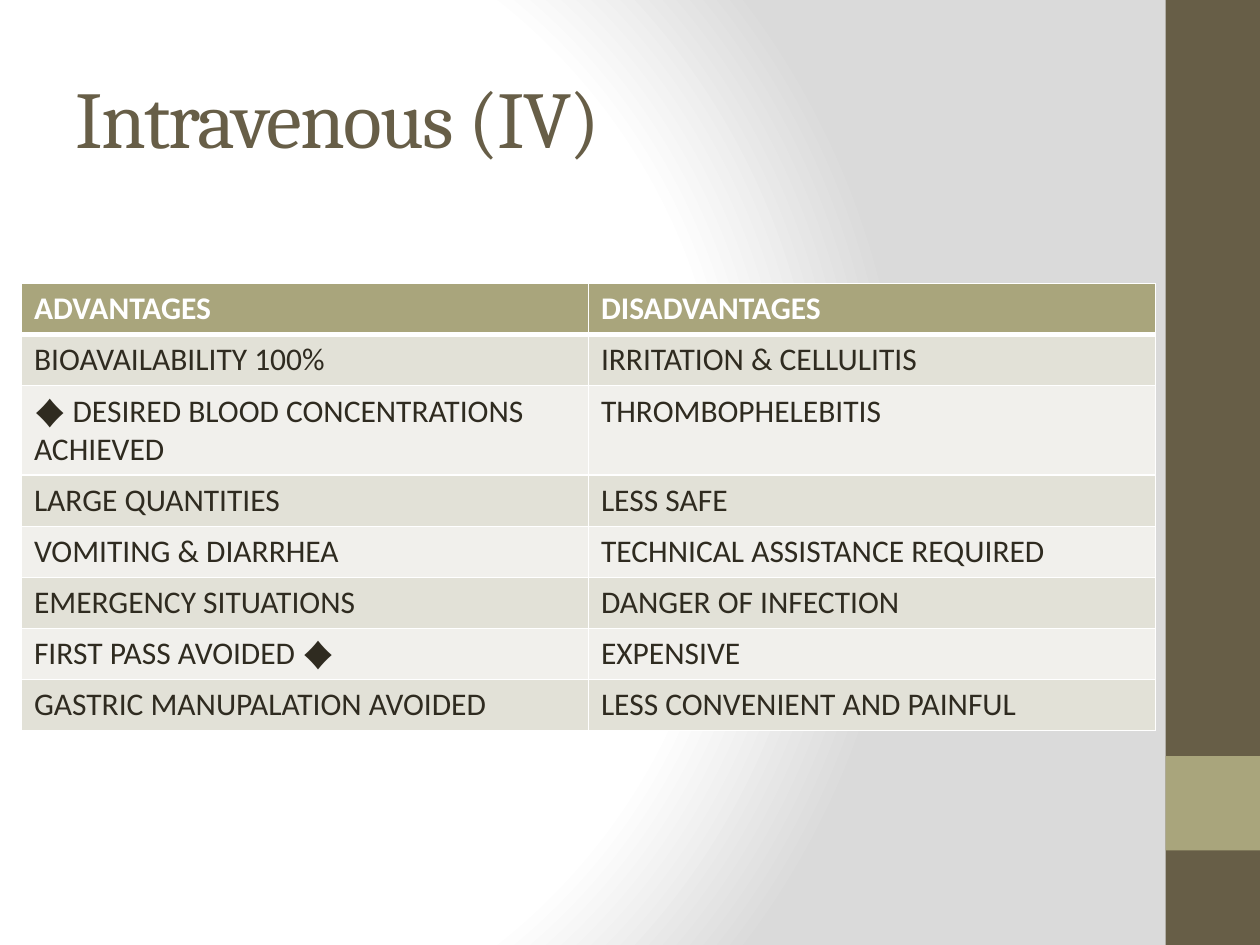
from dataclasses import dataclass

from lxml import etree
from pptx import Presentation
from pptx import util as u
from pptx.dml.color import RGBColor
from pptx.enum import shapes, text
from pptx.oxml import ns, parse_xml

TITLE = "Intravenous (IV)"
ROWS = [
    ("ADVANTAGES", "DISADVANTAGES"),
    ("BIOAVAILABILITY 100%", "IRRITATION & CELLULITIS"),
    ("♦ DESIRED BLOOD CONCENTRATIONS ACHIEVED", "THROMBOPHELEBITIS"),
    ("LARGE QUANTITIES", "LESS SAFE"),
    ("VOMITING & DIARRHEA", "TECHNICAL ASSISTANCE REQUIRED"),
    ("EMERGENCY SITUATIONS", "DANGER OF INFECTION"),
    ("FIRST PASS AVOIDED ♦", "EXPENSIVE"),
    ("GASTRIC MANUPALATION AVOIDED", "LESS CONVENIENT AND PAINFUL"),
]


@dataclass(frozen=True)
class Theme:
    brown: str = "675E47"
    olive: str = "A9A57C"
    ink: str = "2F2B20"
    white: str = "FFFFFF"
    shade: str = "DADADA"
    bands: tuple = ("F1F0EC", "E2E1D7")
    title_font: str = "Cambria"
    body_font: str = "Calibri"
    title_size: float = 46
    body_size: float = 18


THEME = Theme()
WIDTH, HEIGHT = 720, 540
SIDEBAR_WIDTH = 54
SIDEBAR_LEFT = WIDTH - SIDEBAR_WIDTH
ACCENT_TOP = 432
TITLE_BOX = (36, 21.6, 600, 90)
TABLE_LEFT, TABLE_TOP = 12.24, 162
COLUMN_WIDTH, ROW_HEIGHT = 324, 29.2


def points(*lengths):
    return [u.Pt(length) for length in lengths]


def paint_background(page):
    stops = [(0, THEME.white), (75, THEME.white), (100, THEME.shade)]
    stop_xml = "".join(
        f'<a:gs pos="{position * 1000}"><a:srgbClr val="{color}"/></a:gs>'
        for position, color in stops
    )
    background = parse_xml(
        f'<p:bg {ns.nsdecls("p", "a")}><p:bgPr><a:gradFill rotWithShape="1">'
        f"<a:gsLst>{stop_xml}</a:gsLst>"
        '<a:path path="circle"><a:fillToRect l="20000" t="50000" r="100000" b="50000"/></a:path>'
        "</a:gradFill><a:effectLst/></p:bgPr></p:bg>"
    )
    page.element.cSld.insert(0, background)


def add_block(page, box, color):
    block = page.shapes.add_shape(shapes.MSO_SHAPE.RECTANGLE, *points(*box))
    block.shadow.inherit = False
    block.fill.solid()
    block.fill.fore_color.rgb = RGBColor.from_string(color)
    block.line.fill.background()


def write(para, words, font, size, color, bold=False):
    para.alignment = text.PP_ALIGN.LEFT
    span = para.add_run()
    span.text = words
    span.font.name = font
    span.font.size = u.Pt(size)
    span.font.bold = bold
    span.font.color.rgb = RGBColor.from_string(color)
    return span


def add_title(page):
    title = page.shapes.title
    title.left, title.top, title.width, title.height = points(*TITLE_BOX)
    frame = title.text_frame
    frame.word_wrap = True
    frame.vertical_anchor = text.MSO_ANCHOR.MIDDLE
    span = write(frame.paragraphs[0], TITLE, THEME.title_font, THEME.title_size, THEME.brown)
    span.font._element.set("spc", "-100")


def set_borders(cell, bottom):
    properties = cell._tc.get_or_add_tcPr()
    for index, (side, width) in enumerate([("L", 1), ("R", 1), ("T", 1), ("B", bottom)]):
        line = etree.Element(ns.qn(f"a:ln{side}"), w=str(u.Pt(width)))
        fill = etree.SubElement(line, ns.qn("a:solidFill"))
        etree.SubElement(fill, ns.qn("a:srgbClr"), val=THEME.white)
        properties.insert(index, line)


def add_table(page):
    columns = len(ROWS[0])
    box = (TABLE_LEFT, TABLE_TOP, columns * COLUMN_WIDTH, len(ROWS) * ROW_HEIGHT)
    table = page.shapes.add_table(len(ROWS), columns, *points(*box)).table
    for row, entries in enumerate(ROWS):
        header = row == 0
        fill = THEME.olive if header else THEME.bands[row % 2]
        color = THEME.white if header else THEME.ink
        for column, words in enumerate(entries):
            cell = table.cell(row, column)
            cell.fill.solid()
            cell.fill.fore_color.rgb = RGBColor.from_string(fill)
            set_borders(cell, 3 if header else 1)
            para = cell.text_frame.paragraphs[0]
            write(para, words, THEME.body_font, THEME.body_size, color, header)


def main():
    deck = Presentation()
    deck.slide_width, deck.slide_height = points(WIDTH, HEIGHT)
    page = deck.slides.add_slide(deck.slide_layouts.get_by_name("Title Only"))
    paint_background(page)
    add_block(page, (SIDEBAR_LEFT, 0, SIDEBAR_WIDTH, HEIGHT), THEME.brown)
    add_block(page, (SIDEBAR_LEFT, ACCENT_TOP, SIDEBAR_WIDTH, SIDEBAR_WIDTH), THEME.olive)
    add_title(page)
    add_table(page)
    deck.save("out.pptx")


if __name__ == "__main__":
    main()
